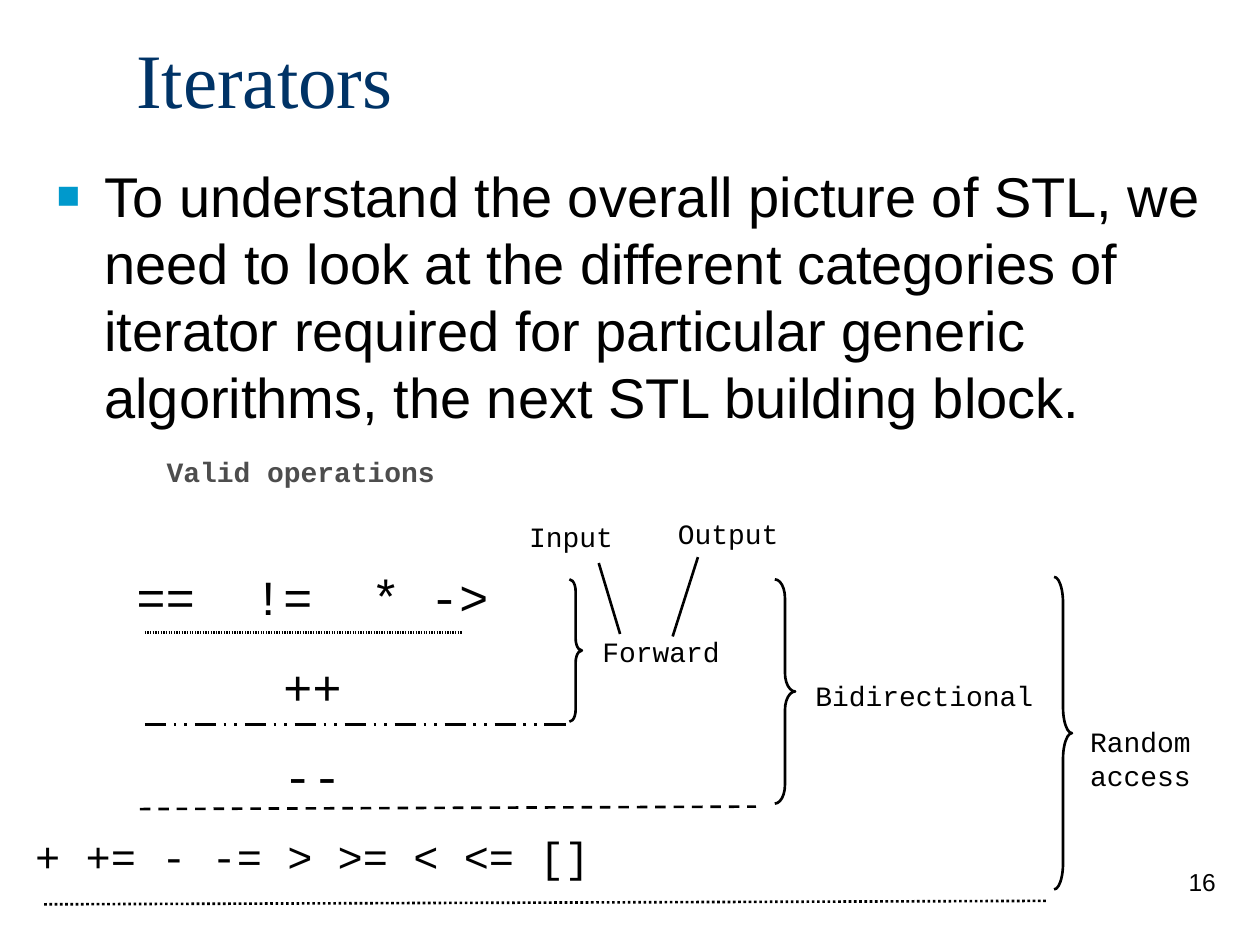
from lxml.etree import SubElement
from pptx import Presentation
from pptx.dml.color import RGBColor
from pptx.enum.dml import MSO_LINE
from pptx.enum.shapes import MSO_CONNECTOR, MSO_SHAPE
from pptx.enum.text import MSO_ANCHOR, MSO_AUTO_SIZE, PP_ALIGN
from pptx.oxml.ns import qn
from pptx.util import Cm, Pt

BLACK = RGBColor(0x00, 0x00, 0x00)
NAVY = RGBColor(0x00, 0x33, 0x66)
GRAY = RGBColor(0x4D, 0x4D, 0x4D)
BULLET_BLUE = RGBColor(0x00, 0x99, 0xCC)
SANS, SERIF, MONO = "Arial", "Times New Roman", "Courier New"
LINE_WIDTH = Pt(1.5)

# Content; all places are in centimetres
TITLE = "Iterators"
TITLE_BOX = (2.49, 0.33, 21.59, 2.46)
BODY = ("To understand the overall picture of STL, we need to look at the "
        "different categories of iterator required for particular generic "
        "algorithms, the next STL building block.")
BODY_BOX = (0.89, 3.12, 23.75, 5.79)
PAGE_NUMBER = "16"
PAGE_NUMBER_BOX = (19.48, 17.35, 5.28, 1.27)
HEADING = "Valid operations"
HEADING_BOX = (2.47, 9.04, 7.19, 0.94)
OPERATIONS = [  # text, size, space before
    ("==  !=  * ->", 28, 17.5),
    ("++", 28, 17.5),
    ("--", 28, 17.5),
    ("+ += - -= > >= < <= []", 24, 15),
]
OPERATIONS_BOX = (0.46, 11.3, 11.68, 6.6)
CATEGORIES = [  # lines, box, space before
    (["Input"], (10.38, 10.34, 2.26, 0.94), 10),
    (["Output"], (13.41, 10.29, 2.54, 0.94), 10),
    (["Forward"], (11.89, 12.66, 2.87, 0.94), 10),
    (["Bidirectional"], (16.08, 13.55, 5.11, 0.94), 0),
    (["Random", "access"], (21.72, 14.49, 2.54, 1.63), 0),
]
FINE_DOTS = "fine dots"
LINES = [  # start and end, dash
    ((2.92, 12.75, 9.32, 12.75), FINE_DOTS),
    ((2.92, 14.6, 11.53, 14.6), MSO_LINE.DASH_DOT_DOT),
    ((2.82, 16.31, 15.24, 16.26), MSO_LINE.DASH),
    ((0.89, 18.23, 21.13, 18.16), MSO_LINE.ROUND_DOT),
    ((12.07, 11.35, 12.5, 12.78), None),   # Input to Forward
    ((14.07, 11.23, 13.56, 12.83), None),  # Output to Forward
]
BRACES = [
    (11.48, 11.68, 0.25, 2.87),
    (15.62, 11.68, 0.41, 4.52),
    (21.25, 11.63, 0.36, 6.3),
]


def lengths(values):
    return [Cm(value) for value in values]


def place(shape, box):
    shape.left, shape.top, shape.width, shape.height = lengths(box)


def format_paragraph(paragraph, font_name, size, color=BLACK,
                     align=PP_ALIGN.CENTER, before=0, bold=False):
    paragraph.alignment = align
    paragraph.space_before = Pt(before)
    for run in paragraph.runs:
        font = run.font
        font.name, font.size, font.bold = font_name, Pt(size), bold
        font.color.rgb = color


def add_text(shapes, lines, box, wrap=False):
    frame = shapes.add_textbox(*lengths(box)).text_frame
    frame.word_wrap = wrap
    if not wrap:
        frame.auto_size = MSO_AUTO_SIZE.SHAPE_TO_FIT_TEXT
    frame.text = "\n".join(lines)
    return frame.paragraphs


def add_square_bullet(paragraph):
    properties = paragraph._p.get_or_add_pPr()
    properties.set("marL", str(Cm(0.96)))
    properties.set("indent", str(-Cm(0.96)))
    color = SubElement(properties, qn("a:buClr"))
    SubElement(color, qn("a:srgbClr"), val=str(BULLET_BLUE))
    SubElement(properties, qn("a:buSzPct"), val="70000")
    SubElement(properties, qn("a:buFont"), typeface=SANS)
    SubElement(properties, qn("a:buChar"), char="■")


def add_line(shapes, ends, dash):
    connector = shapes.add_connector(MSO_CONNECTOR.STRAIGHT, *lengths(ends))
    line = connector.line
    line.color.rgb, line.width = BLACK, LINE_WIDTH
    if dash == FINE_DOTS:
        pattern = SubElement(line._get_or_add_ln(), qn("a:custDash"))
        SubElement(pattern, qn("a:ds"), d="50000", sp="50000")
    elif dash is not None:
        line.dash_style = dash
    SubElement(connector._element.spPr, qn("a:effectLst"))


def add_brace(shapes, box):
    brace = shapes.add_shape(MSO_SHAPE.RIGHT_BRACE, *lengths(box))
    brace.adjustments[0] = brace.height / 12 / brace.width
    brace.shadow.inherit = False
    brace.fill.background()
    brace.line.color.rgb, brace.line.width = BLACK, LINE_WIDTH


def main():
    presentation = Presentation()
    presentation.slide_width, presentation.slide_height = Cm(25.4), Cm(19.05)
    slide = presentation.slides.add_slide(presentation.slide_layouts[1])
    shapes = slide.shapes

    # Title and body
    title, body = shapes.title, slide.placeholders[1]
    for shape, box, text in ((title, TITLE_BOX, TITLE), (body, BODY_BOX, BODY)):
        place(shape, box)
        shape.text_frame.text = text
        shape.text_frame.auto_size = MSO_AUTO_SIZE.NONE
    title.text_frame.vertical_anchor = MSO_ANCHOR.MIDDLE
    format_paragraph(title.text_frame.paragraphs[0], SERIF, 44, NAVY, PP_ALIGN.LEFT)
    body_paragraph = body.text_frame.paragraphs[0]
    format_paragraph(body_paragraph, SANS, 32, align=PP_ALIGN.LEFT, before=8)
    add_square_bullet(body_paragraph)

    # Page number and heading
    number = add_text(shapes, [PAGE_NUMBER], PAGE_NUMBER_BOX, wrap=True)[0]
    format_paragraph(number, SANS, 14, align=PP_ALIGN.RIGHT, before=8.8)
    heading = add_text(shapes, [HEADING], HEADING_BOX, wrap=True)[0]
    format_paragraph(heading, MONO, 16, GRAY, before=10, bold=True)

    # Operations and iterator categories
    operations = add_text(shapes, [text for text, _, _ in OPERATIONS], OPERATIONS_BOX)
    for paragraph, (_, size, before) in zip(operations, OPERATIONS):
        format_paragraph(paragraph, MONO, size, before=before)
    for lines, box, before in CATEGORIES:
        for paragraph in add_text(shapes, lines, box):
            format_paragraph(paragraph, MONO, 16, before=before)

    # Lines and braces
    for ends, dash in LINES:
        add_line(shapes, ends, dash)
    for box in BRACES:
        add_brace(shapes, box)

    presentation.save("out.pptx")


if __name__ == "__main__":
    main()
